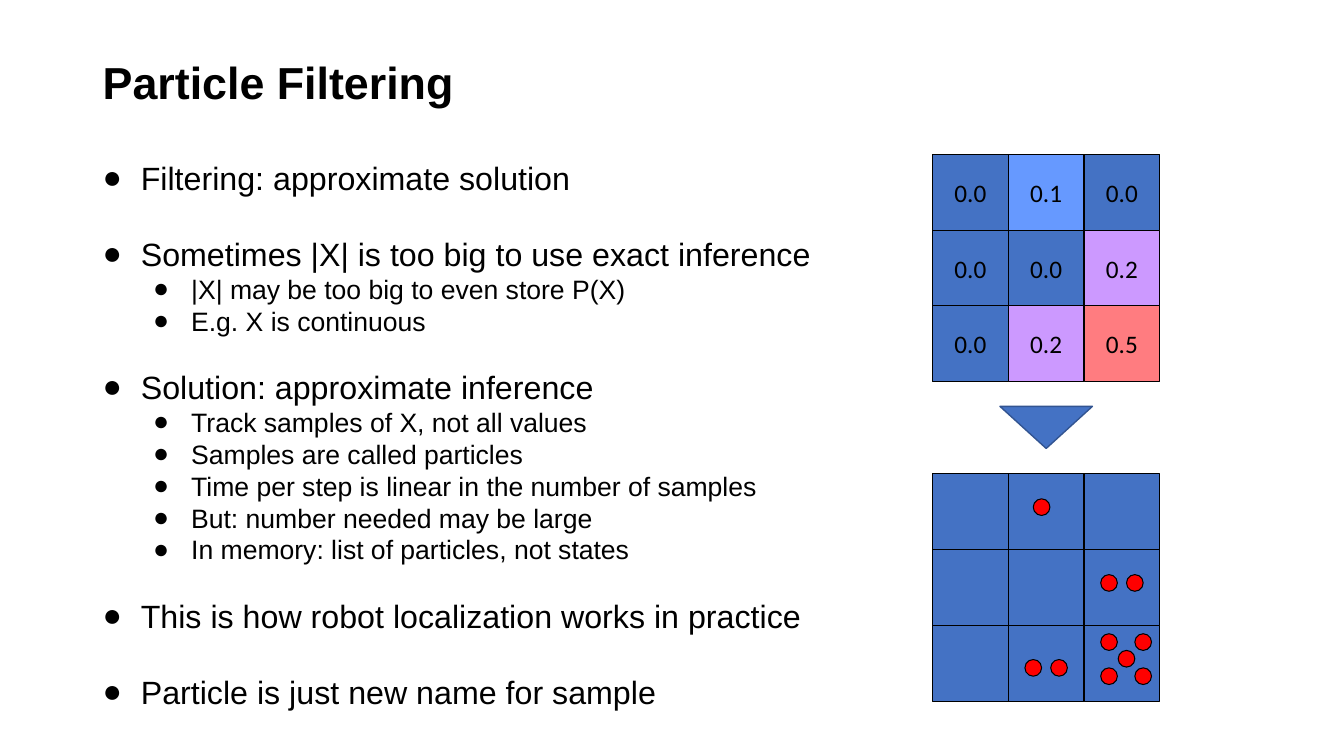
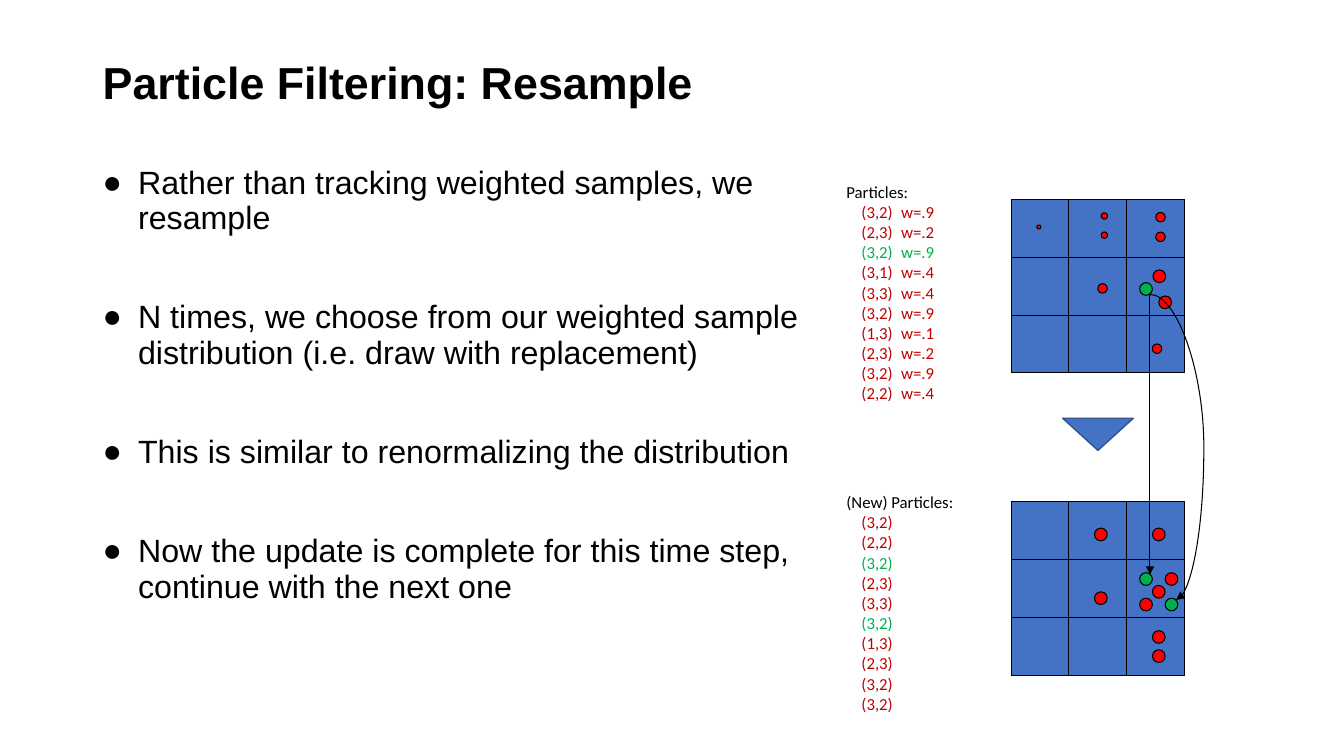
import pptx
import pptx.dml.color
import pptx.enum.shapes
import pptx.enum.text
import pptx.oxml.ns
import pptx.util
from lxml import etree

Cm, Pt, qn = pptx.util.Cm, pptx.util.Pt, pptx.oxml.ns.qn
SHAPE = pptx.enum.shapes.MSO_SHAPE
CONNECTOR = pptx.enum.shapes.MSO_CONNECTOR
ANCHOR = pptx.enum.text.MSO_ANCHOR
CENTER = pptx.enum.text.PP_ALIGN.CENTER

COLORS = {
    "black": "000000",
    "blue": "4472C4",
    "outline": "325491",
    "sky": "6699FF",
    "violet": "CC99FF",
    "salmon": "FF7C80",
    "red": "FF0000",
    "dark red": "C00000",
    "green": "00B050",
}
PROBABILITIES = [["0.0", "0.1", "0.0"], ["0.0", "0.0", "0.2"], ["0.0", "0.2", "0.5"]]
PROBABILITY_FILLS = {"0.0": "blue", "0.1": "sky", "0.2": "violet", "0.5": "salmon"}

# Bullets: level, text, space before in points
FILTERING_BULLETS = [
    (0, "Filtering: approximate solution", 0),
    (0, "Sometimes |X| is too big to use exact inference", 32.4),
    (1, "|X| may be too big to even store P(X)", 4.5),
    (1, "E.g. X is continuous", 4.5),
    (0, "Solution: approximate inference", 27.5),
    (1, "Track samples of X, not all values", 4.5),
    (1, "Samples are called particles", 4.5),
    (1, "Time per step is linear in the number of samples", 4.5),
    (1, "But: number needed may be large", 4.5),
    (1, "In memory: list of particles, not states", 4.5),
    (0, "This is how robot localization works in practice", 27.5),
    (0, "Particle is just new name for sample", 32.4),
]
RESAMPLE_BULLETS = [
    (0, "Rather than tracking weighted samples, we resample", 0),
    (0, "N times, we choose from our weighted sample distribution "
        "(i.e. draw with replacement)", 45.5),
    (0, "This is similar to renormalizing the distribution", 45.5),
    (0, "Now the update is complete for this time step, continue with the next one", 45.5),
]

# Particle centres are in cells, from the top left corner of a grid
SAMPLES = [
    (1.44, 0.44), (2.33, 1.44), (2.67, 1.44), (1.33, 2.56), (1.67, 2.56),
    (2.33, 2.22), (2.78, 2.22), (2.56, 2.44), (2.33, 2.67), (2.78, 2.67),
]
DIAMETERS = {".9": 0.32, ".4": 0.24, ".2": 0.16, ".1": 0.1}
WEIGHTED_SAMPLES = [
    (2.33, 1.55, ".9", "green"), (2.66, 1.78, ".9", "red"), (2.56, 1.33, ".9", "red"),
    (2.58, 0.31, ".4", "red"), (2.58, 0.65, ".4", "red"), (1.58, 1.54, ".4", "red"),
    (2.52, 2.58, ".4", "red"), (1.61, 0.29, ".2", "red"), (1.61, 0.62, ".2", "red"),
    (0.48, 0.48, ".1", "red"),
]
NEW_SAMPLES = [
    (1.55, 0.56, "red"), (2.55, 0.56, "red"), (1.55, 1.66, "red"), (2.33, 1.33, "green"),
    (2.77, 1.33, "red"), (2.55, 1.55, "red"), (2.33, 1.77, "red"), (2.77, 1.77, "green"),
    (2.55, 2.33, "red"), (2.55, 2.66, "red"),
]
WEIGHTED_LIST = [
    ("(3,2)", ".9"), ("(2,3)", ".2"), ("(3,2)", ".9"), ("(3,1)", ".4"), ("(3,3)", ".4"),
    ("(3,2)", ".9"), ("(1,3)", ".1"), ("(2,3)", ".2"), ("(3,2)", ".9"), ("(2,2)", ".4"),
]
NEW_LIST = ["(3,2)", "(2,2)", "(3,2)", "(2,3)", "(3,3)",
            "(3,2)", "(1,3)", "(2,3)", "(3,2)", "(3,2)"]


def rgb(name):
    return pptx.dml.color.RGBColor.from_string(COLORS[name])


def write(tf, text, size, font="Arial", color="black", bold=False, align=None,
          spacing=None, before=0, bullet=None, tabs=()):
    """Add a paragraph; bullet is (left margin, hanging indent) and tabs are in cm."""
    p = tf.paragraphs[0]
    if p.runs:
        p = tf.add_paragraph()
    pPr = p._p.get_or_add_pPr()
    if bullet:
        margin, hang = bullet
        pPr.set("marL", str(Cm(margin)))
        pPr.set("indent", str(-Cm(hang)))
        etree.SubElement(pPr, qn("a:buFont"), typeface="Arial")
        etree.SubElement(pPr, qn("a:buChar"), char="●")
    if tabs:
        tab_list = etree.SubElement(pPr, qn("a:tabLst"))
        for tab in tabs:
            etree.SubElement(tab_list, qn("a:tab"), pos=str(Cm(tab)), algn="l")
    if align is not None:
        p.alignment = align
    if spacing:
        p.line_spacing = spacing
    if before:
        p.space_before = Pt(before)
    r = p.add_run()
    r.text = text
    r.font.name, r.font.size, r.font.bold = font, Pt(size), bold
    r.font.color.rgb = rgb(color)


def add_text_frame(s, left, top, width, height):
    tf = s.shapes.add_textbox(Cm(left), Cm(top), Cm(width), Cm(height)).text_frame
    tf.word_wrap = True
    return tf


def add_titled_slide(prs, title):
    s = prs.slides.add_slide(prs.slide_layouts[6])
    tf = add_text_frame(s, 2.34, 1.02, 29.21, 2.26)
    tf.vertical_anchor = ANCHOR.MIDDLE
    write(tf, title, 32, bold=True, spacing=0.9)
    return s


def add_bullets(s, bullets, width, height, hang, spacing):
    tf = add_text_frame(s, 2.34, 4.05, width, height)
    for level, text, before in bullets:
        write(tf, text, (23, 19)[level], spacing=spacing, before=before,
              bullet=(hang + 1.27 * level, hang))


def add_shape(s, kind, left, top, width, height, fill="blue", line="black", weight=0.75):
    sp = s.shapes.add_shape(kind, Cm(left), Cm(top), Cm(width), Cm(height))
    sp.shadow.inherit = False
    sp.fill.solid()
    sp.fill.fore_color.rgb = rgb(fill)
    sp.line.color.rgb = rgb(line)
    sp.line.width = Pt(weight)
    return sp


def add_grid(s, left, top, cell, values=None):
    for row in range(3):
        for col in range(3):
            value = values[row][col] if values else None
            sp = add_shape(s, SHAPE.RECTANGLE, left + col * cell, top + row * cell,
                           cell, cell, PROBABILITY_FILLS.get(value, "blue"))
            if value:
                tf = sp.text_frame
                tf.word_wrap = False
                tf.vertical_anchor = ANCHOR.MIDDLE
                write(tf, value, 18, font="Calibri", align=CENTER)


def add_particle(s, grid, x, y, diameter, color="red"):
    left, top, cell = grid
    add_shape(s, SHAPE.OVAL, left + x * cell - diameter / 2, top + y * cell - diameter / 2,
              diameter, diameter, color)


def add_down_triangle(s, grid, top, width, height):
    """Centre a triangle that points down under the grid."""
    left, _, cell = grid
    sp = add_shape(s, SHAPE.ISOSCELES_TRIANGLE, left + 1.5 * cell - width / 2, top,
                   width, height, line="outline", weight=1)
    sp.rotation = 180


def add_particle_list(s, top, heading, rows, green_rows):
    tf = add_text_frame(s, 21.08, top, 3.81, 5.89)
    write(tf, heading, 12, font="Calibri")
    for i, row in enumerate(rows):
        write(tf, "\t" + row, 12, font="Calibri", tabs=(0.38, 1.38),
              color="green" if i in green_rows else "dark red")


def add_arrow(s, start, end, bend=None):
    """Draw an arrow, curved when bend (the turning point over the width) is given."""
    kind = CONNECTOR.STRAIGHT if bend is None else CONNECTOR.CURVE
    c = s.shapes.add_connector(kind, *(Cm(v) for v in start + end))
    c.line.color.rgb = rgb("black")
    c.line.width = Pt(0.75)
    etree.SubElement(c.line._get_or_add_ln(), qn("a:tailEnd"), type="triangle")
    spPr = c._element.spPr
    etree.SubElement(spPr, qn("a:effectLst"))
    if bend is not None:
        etree.SubElement(spPr.find(".//" + qn("a:avLst")), qn("a:gd"),
                         name="adj1", fmla=f"val {round(bend * 100000)}")


def build_filtering(prs):
    s = add_titled_slide(prs, "Particle Filtering")
    grid = (23.5, 11.94, 1.91)
    add_grid(s, 23.5, 3.89, 1.91, PROBABILITIES)
    add_grid(s, *grid)
    for x, y in SAMPLES:
        add_particle(s, grid, x, y, 0.42)
    add_down_triangle(s, grid, 10.24, 2.33, 1.06)
    add_bullets(s, FILTERING_BULLETS, 19.9, 14.35, 0.96, 0.8)


def build_resample(prs):
    s = add_titled_slide(prs, "Particle Filtering: Resample")
    add_bullets(s, RESAMPLE_BULLETS, 18.42, 13, 0.89, 0.92)
    old_grid, new_grid = (25.48, 5.02, 1.46), (25.48, 12.65, 1.46)
    add_grid(s, *old_grid)
    for x, y, weight, color in WEIGHTED_SAMPLES:
        add_particle(s, old_grid, x, y, DIAMETERS[weight], color)
    add_down_triangle(s, old_grid, 10.54, 1.78, 0.81)
    add_grid(s, *new_grid)
    for x, y, color in NEW_SAMPLES:
        add_particle(s, new_grid, x, y, 0.32, color)
    weighted_rows = [f"{state}\tw={weight}" for state, weight in WEIGHTED_LIST]
    add_particle_list(s, 4.45, "Particles:", weighted_rows, {2})
    add_particle_list(s, 12.27, "(New) Particles:", NEW_LIST, {2, 5})
    chosen = (28.98, 7.42)
    add_arrow(s, chosen, (28.98, 14.48))
    add_arrow(s, chosen, (29.64, 15.12), bend=2.06)


def main():
    prs = pptx.Presentation()
    prs.slide_width, prs.slide_height = Cm(33.87), Cm(19.05)
    build_filtering(prs)
    build_resample(prs)
    prs.save("out.pptx")


if __name__ == "__main__":
    main()
